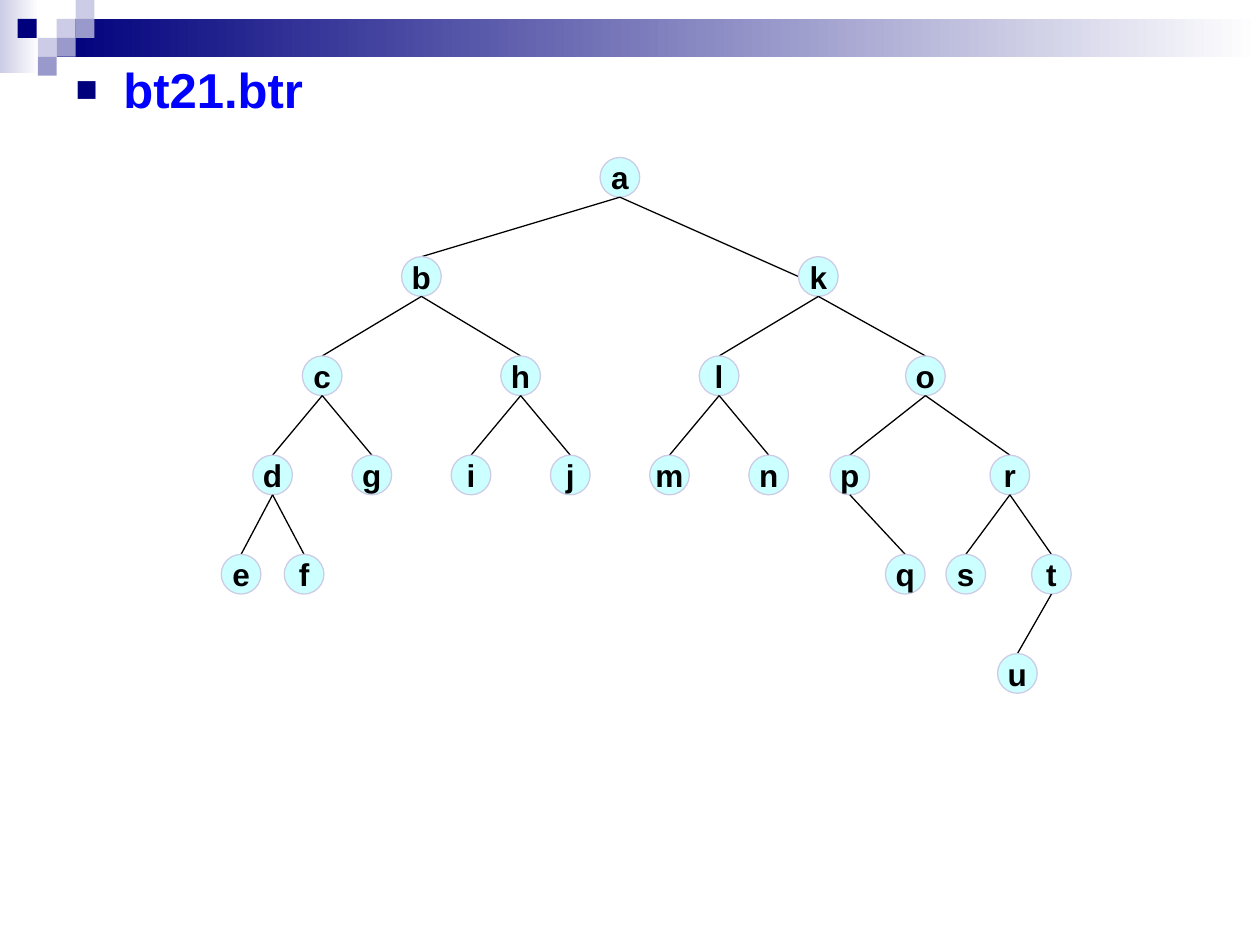
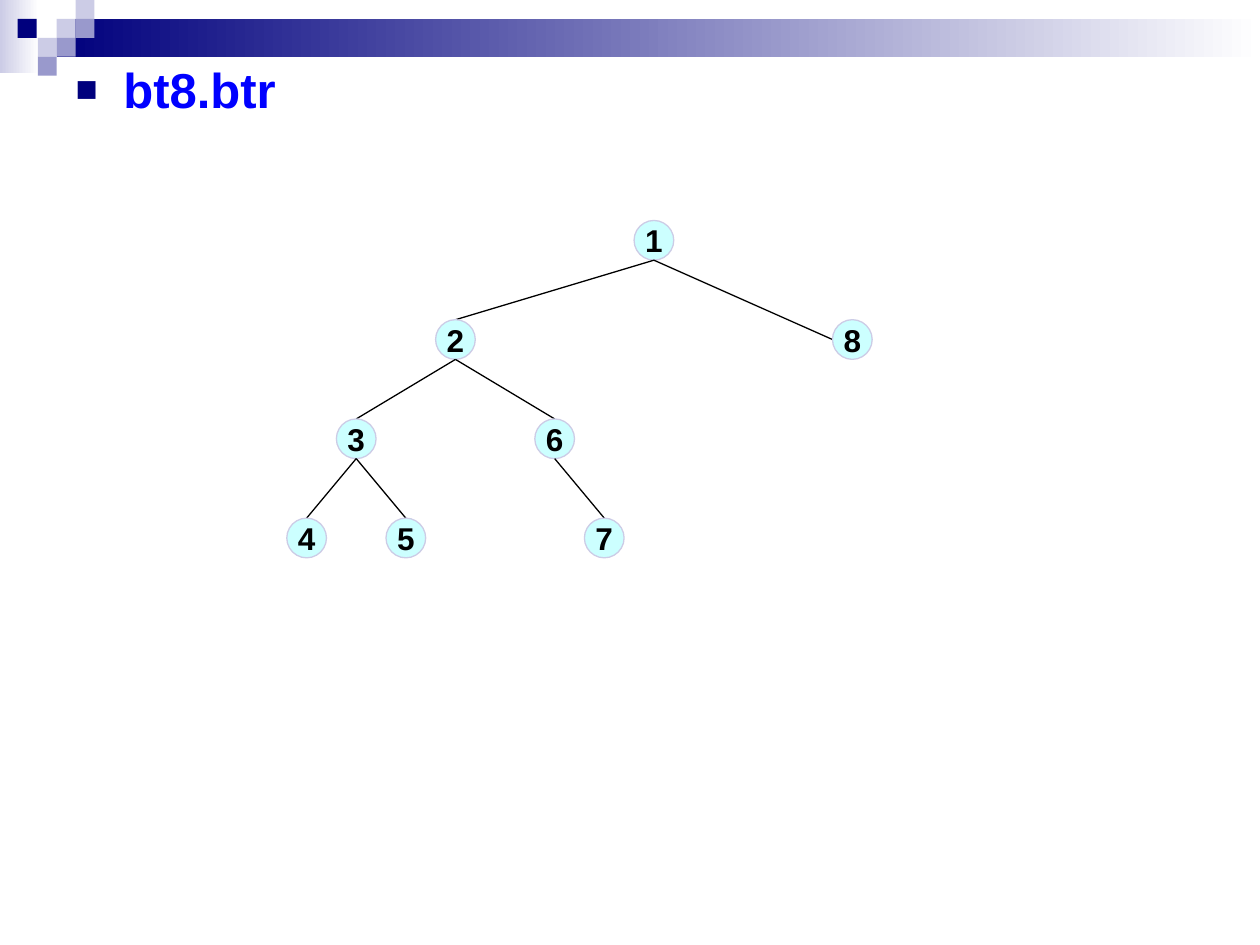
from dataclasses import dataclass

from lxml.etree import SubElement
from pptx import Presentation
from pptx.dml.color import RGBColor
from pptx.enum.shapes import MSO_CONNECTOR, MSO_SHAPE
from pptx.enum.text import MSO_ANCHOR, MSO_AUTO_SIZE, PP_ALIGN
from pptx.oxml.ns import qn
from pptx.util import Inches, Pt

HEX = {
    "navy": "00007D",
    "mid": "9999CC",
    "pale": "CCCCE6",
    "white": "FFFFFF",
    "blue": "0000FF",
    "black": "000000",
    "aqua": "CCFFFF",
}
FONT = "Arial"
SIZE = 0.63 / 2  # node diameter
STEP = 2.5 * SIZE  # drop from one level to the next
WIDE = 5 * SIZE  # sideways shift on level one, halved on each level below
HALF = WIDE / 2
SLIM = WIDE / 4
TILE = 0.15


@dataclass(frozen=True)
class Band:
    left: float
    top: float
    width: float
    height: float
    tint: str
    fade: bool = False


@dataclass(frozen=True)
class Node:
    label: str
    parent: str = ""
    shift: float = 0
    side: bool = False  # the edge meets the left side, not the top


@dataclass(frozen=True)
class Tree:
    title: str
    mid: float
    top: float
    nodes: tuple[Node, ...]


BANDS = [
    Band(0, 0, 0.31, 0.58, "pale", True),
    Band(0.45, 0.15, 9.55, 0.3, "navy", True),
] + [
    Band(left, top, TILE, TILE, tint)
    for left, top, tint in (
        (0.45, 0.15, "pale"),
        (0.6, 0, "pale"),
        (0.6, 0.15, "mid"),
        (0.3, 0.3, "pale"),
        (0.14, 0.15, "navy"),
        (0.45, 0.3, "mid"),
        (0.3, 0.45, "mid"),
    )
]

TREES = (
    Tree("bt21.btr", 4.92, 1.25, (
        Node("a"),
        Node("b", "a", -WIDE),
        Node("c", "b", -HALF),
        Node("d", "c", -SLIM),
        Node("e", "d", -0.25),
        Node("f", "d", 0.25),
        Node("g", "c", SLIM),
        Node("h", "b", HALF),
        Node("i", "h", -SLIM),
        Node("j", "h", SLIM),
        Node("k", "a", WIDE, True),
        Node("l", "k", -HALF),
        Node("m", "l", -SLIM),
        Node("n", "l", SLIM),
        Node("o", "k", 0.85),
        Node("p", "o", -0.6),
        Node("q", "p", 0.44),
        Node("r", "o", 0.67),
        Node("s", "r", -0.35),
        Node("t", "r", 0.33),
        Node("u", "t", -0.27),
    )),
    Tree("bt8.btr", 5.19, 1.75, (
        Node("1"),
        Node("2", "1", -WIDE),
        Node("3", "2", -HALF),
        Node("4", "3", -SLIM),
        Node("5", "3", SLIM),
        Node("6", "2", HALF),
        Node("7", "6", SLIM),
        Node("8", "1", WIDE, True),
    )),
)


def color(name: str) -> RGBColor:
    return RGBColor.from_string(HEX[name])


def apply(target, values: dict) -> None:
    for name, value in values.items():
        setattr(target, name, value)


def style(font, size: int, tint: str) -> None:
    apply(font, {"name": FONT, "size": Pt(size), "bold": True})
    font.color.rgb = color(tint)


def add_band(slide, band: Band):
    box = (band.left, band.top, band.width, band.height)
    shape = slide.shapes.add_shape(MSO_SHAPE.RECTANGLE, *map(Inches, box))
    shape.shadow.inherit = False
    shape.line.fill.background()
    if band.fade:
        shape.fill.gradient()
        shape.fill.gradient_angle = 0
        for stop, tint in zip(shape.fill.gradient_stops, (band.tint, "white")):
            stop.color.rgb = color(tint)
    else:
        shape.fill.solid()
        shape.fill.fore_color.rgb = color(band.tint)
    return shape


def dress(deck, layout) -> None:
    """Put the bands on the layout, behind its title."""
    for item in list(layout.placeholders):
        if item.placeholder_format.idx:
            item.element.getparent().remove(item.element)
    slide = deck.slides[0]
    shapes = [add_band(slide, band) for band in BANDS]
    for spot, shape in enumerate(shapes, start=2):
        layout.shapes.element.insert(spot, shape.element)


def set_title(slide, text: str) -> None:
    title = slide.shapes.title
    apply(title, {
        "left": Inches(0.5),
        "top": Inches(0.42),
        "width": Inches(9.08),
        "height": Inches(7.08),
    })
    frame = title.text_frame
    frame.text = text
    apply(frame, {
        "vertical_anchor": MSO_ANCHOR.TOP,
        "auto_size": MSO_AUTO_SIZE.NONE,
        "word_wrap": True,
    })
    para = frame.paragraphs[0]
    apply(para, {"alignment": PP_ALIGN.LEFT, "space_before": Pt(7)})
    style(para.runs[0].font, 28, "blue")
    add_bullet(para)


def add_bullet(para) -> None:
    props = para.runs[0].font._element.getparent().getparent().get_or_add_pPr()
    indent = Inches(0.38)
    props.set("marL", str(indent))
    props.set("indent", str(-indent))
    tint = SubElement(props, qn("a:buClr"))
    SubElement(tint, qn("a:srgbClr"), val=HEX["navy"])
    SubElement(props, qn("a:buSzPct"), val="75000")
    SubElement(props, qn("a:buFont"), typeface=FONT)
    SubElement(props, qn("a:buChar"), char="■")


def add_node(shapes, label: str, mid: float, top: float) -> None:
    box = (mid - SIZE / 2, top, SIZE, SIZE)
    oval = shapes.add_shape(MSO_SHAPE.OVAL, *map(Inches, box))
    oval.shadow.inherit = False
    oval.fill.solid()
    oval.fill.fore_color.rgb = color("aqua")
    oval.line.color.rgb = color("pale")
    oval.line.width = Pt(0.75)
    frame = oval.text_frame
    frame.text = label
    apply(frame, {"word_wrap": False, "vertical_anchor": MSO_ANCHOR.MIDDLE})
    para = frame.paragraphs[0]
    para.alignment = PP_ALIGN.CENTER
    style(para.runs[0].font, 18, "black")


def add_edge(shapes, start: tuple[float, float], end: tuple[float, float]) -> None:
    edge = shapes.add_connector(MSO_CONNECTOR.STRAIGHT, *map(Inches, start + end))
    edge.line.color.rgb = color("black")
    edge.line.width = Pt(0.75)
    SubElement(edge.element.spPr, qn("a:effectLst"))


def draw_tree(slide, tree: Tree) -> None:
    shapes = slide.shapes.add_group_shape().shapes
    spots = {}
    for node in tree.nodes:
        mid, top = tree.mid, tree.top
        if node.parent:
            above, level = spots[node.parent]
            mid, top = above + node.shift, level + STEP
            end = (mid - SIZE / 2, top + SIZE / 2) if node.side else (mid, top)
            add_edge(shapes, (above, level + SIZE), end)
        spots[node.label] = mid, top
        add_node(shapes, node.label, mid, top)


def main() -> None:
    deck = Presentation()
    apply(deck, {"slide_width": Inches(10), "slide_height": Inches(7.5)})
    layout = deck.slide_layouts[5]
    for tree in TREES:
        slide = deck.slides.add_slide(layout)
        set_title(slide, tree.title)
        draw_tree(slide, tree)
    dress(deck, layout)
    deck.save("out.pptx")


if __name__ == "__main__":
    main()
